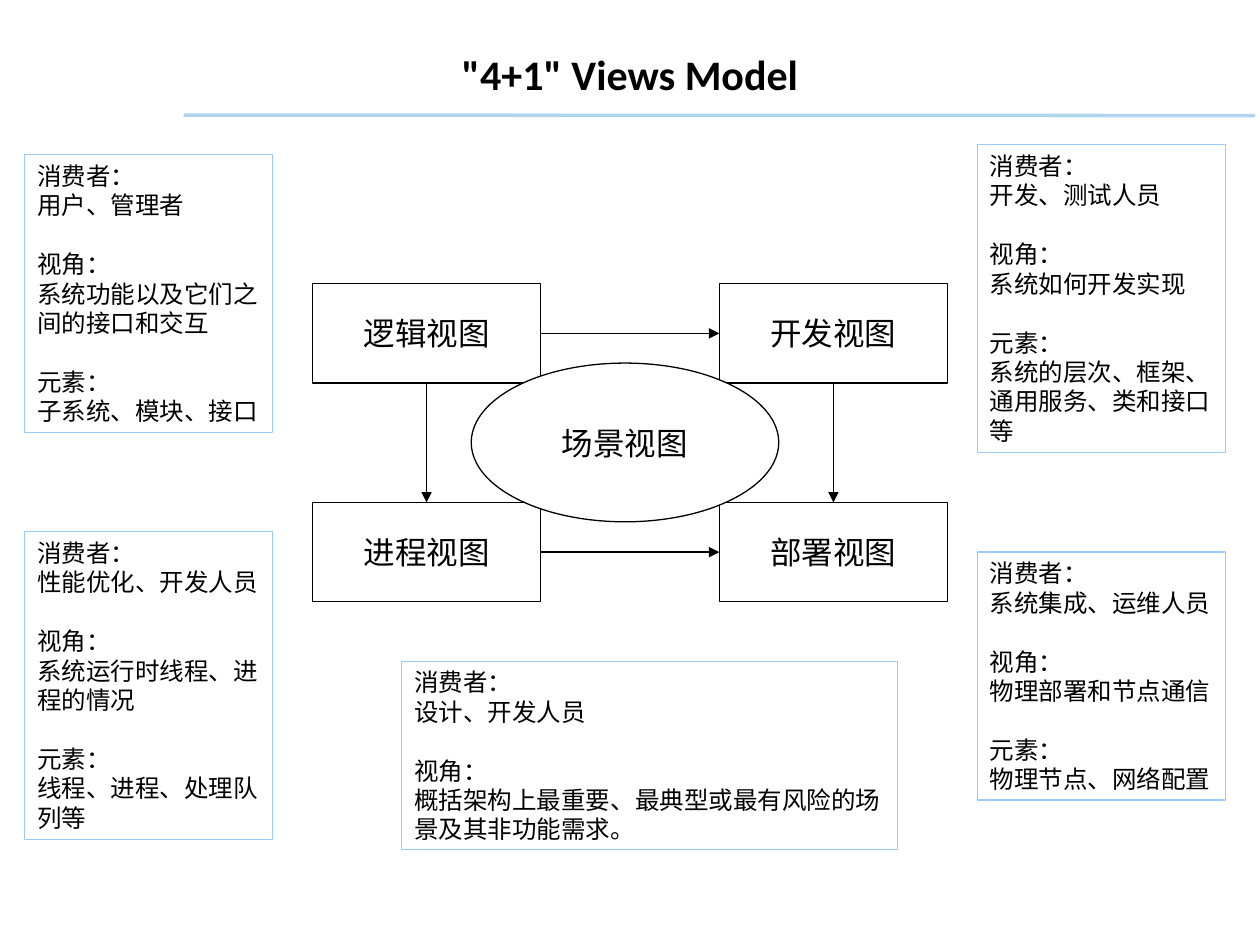
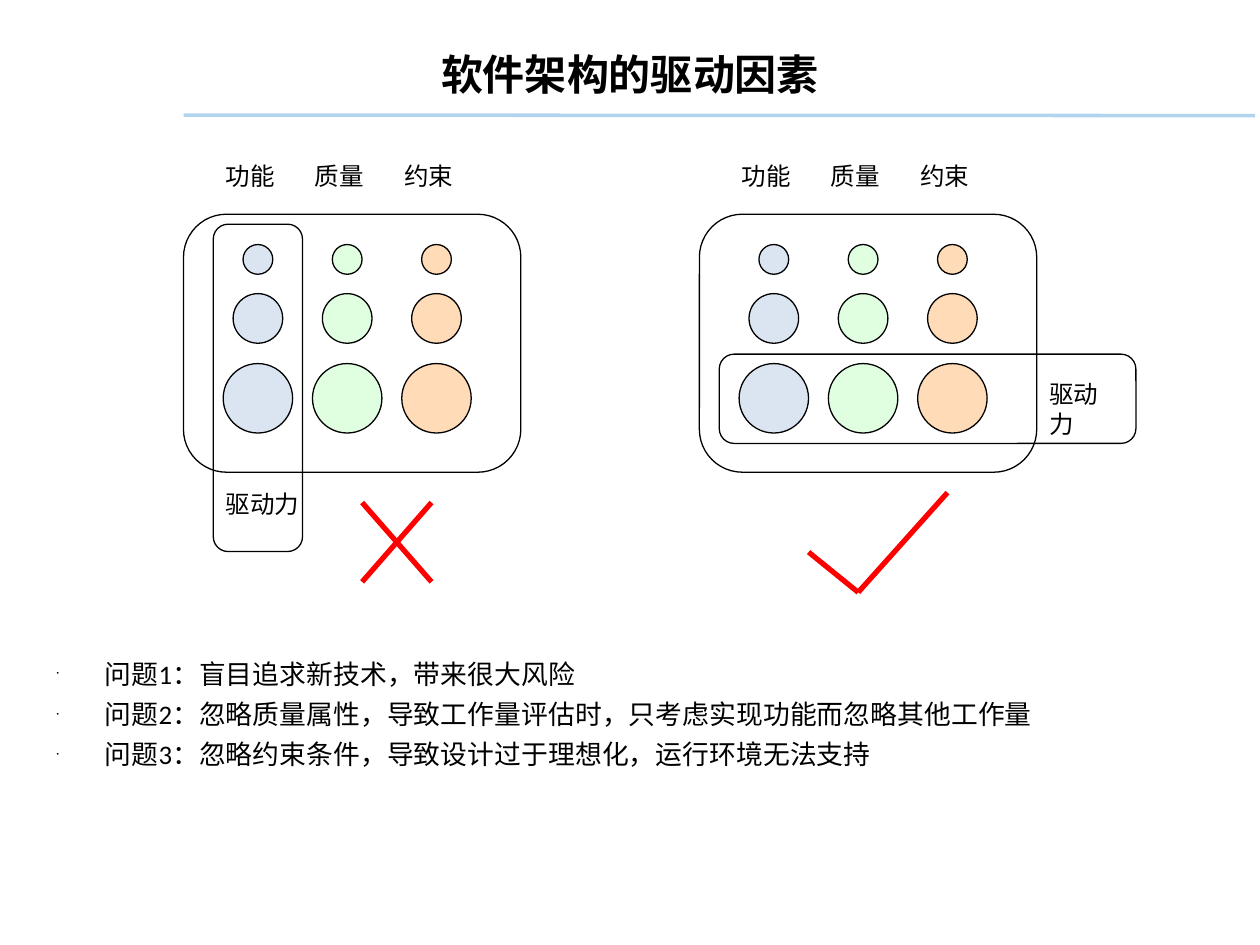
from lxml.etree import SubElement
from pptx import Presentation
from pptx.dml.color import RGBColor
from pptx.enum.lang import MSO_LANGUAGE_ID
from pptx.enum.shapes import MSO_CONNECTOR, MSO_SHAPE
from pptx.enum.text import MSO_ANCHOR, MSO_AUTO_SIZE, PP_ALIGN
from pptx.oxml.ns import qn
from pptx.util import Cm, Pt

BLACK = RGBColor(0x00, 0x00, 0x00)
WHITE = RGBColor(0xFF, 0xFF, 0xFF)
BAND = RGBColor(0xB1, 0xD5, 0xEF)
SKY = RGBColor(0x99, 0xCC, 0xFF)
RED = RGBColor(0xFF, 0x00, 0x00)
BLUE = RGBColor(0x4F, 0x81, 0xBD)
GREEN = RGBColor(0xCC, 0xFF, 0xCC)
PEACH = RGBColor(0xFF, 0xCC, 0x99)

TITLES = ['"4+1" Views Model', "软件架构的驱动因素"]
VIEWS = [["逻辑视图", "开发视图"], ["进程视图", "部署视图"]]
SCENE = "场景视图"
HEADS = ["消费者：", "视角：", "元素："]
NOTES = [
    ((0.5, 3.12, 5, 5.6), "Calibri",
     ["用户、管理者", "系统功能以及它们之间的接口和交互", "子系统、模块、接口"]),
    ((19.7, 2.92, 5, 6.2), "Calibri",
     ["开发、测试人员", "系统如何开发实现", "系统的层次、框架、通用服务、类和接口等"]),
    ((0.5, 10.72, 5, 6.2), "Arial",
     ["性能优化、开发人员", "系统运行时线程、进程的情况", "线程、进程、处理队列等"]),
    ((19.7, 11.13, 5, 5), "Calibri",
     ["系统集成、运维人员", "物理部署和节点通信", "物理节点、网络配置"]),
    ((8.1, 13.33, 10, 3.8), "Arial",
     ["设计、开发人员", "概括架构上最重要、最典型或最有风险的场景及其非功能需求。"]),
]
FACTORS = [("功能", BLUE, 20), ("质量", GREEN, 60), ("约束", PEACH, 70)]
DOTS = [(5.23, 0.6), (6.42, 1), (8.03, 1.4)]
FORCE = "驱动力"
FORCES = [
    ((4.3, 4.52, 1.8, 6.6), (4.3, 9.73, 2.2, 0.86)),
    ((14.5, 7.14, 8.4, 1.8), (20.9, 7.52, 1.98, 0.86)),
]
MARKS = [
    (16.3, 11.13, 17.3, 11.94), (17.3, 11.94, 19.1, 9.93),
    (7.3, 10.13, 8.7, 11.73), (8.7, 10.13, 7.3, 11.73),
]
ISSUES = [
    "问题1：盲目追求新技术，带来很大风险",
    "问题2：忽略质量属性，导致工作量评估时，只考虑实现功能而忽略其他工作量",
    "问题3：忽略约束条件，导致设计过于理想化，运行环境无法支持",
]


def apply(item, vals):
    for key, val in vals.items():
        setattr(item, key, val)


def place(shape, box):
    apply(shape, dict(zip(("left", "top", "width", "height"), map(Cm, box))))


def write(shape, lines, size, bold=False, align=PP_ALIGN.LEFT,
          anchor=MSO_ANCHOR.TOP, wrap=True):
    frame = shape.text_frame
    apply(frame, {"auto_size": MSO_AUTO_SIZE.NONE, "word_wrap": wrap,
                  "vertical_anchor": anchor})
    for num, (text, gap, face) in enumerate(lines):
        para = frame.add_paragraph() if num else frame.paragraphs[0]
        apply(para, {"alignment": align, "space_before": Pt(gap)})
        run = para.add_run()
        run.text = text
        apply(run.font, {"name": face, "size": Pt(size), "bold": bold,
                         "language_id": MSO_LANGUAGE_ID.SIMPLIFIED_CHINESE})
        run.font.color.rgb = BLACK
    return frame


def draw(slide, kind, box, fill=None, line=BLACK, alpha=None):
    shape = slide.shapes.add_shape(kind, *map(Cm, box))
    shape.shadow.inherit = False
    if fill is None:
        shape.fill.background()
    else:
        shape.fill.solid()
        shape.fill.fore_color.rgb = fill
    if alpha:
        color = shape.fill._xPr.find(".//" + qn("a:srgbClr"))
        SubElement(color, qn("a:alpha"), val=str(alpha * 1000))
    shape.line.color.rgb = line
    shape.line.width = Pt(0.75)
    return shape


def link(slide, ends, color=BLACK, width=0.75, arrow=False):
    line = slide.shapes.add_connector(MSO_CONNECTOR.STRAIGHT, *map(Cm, ends))
    line.line.color.rgb = color
    line.line.width = Pt(width)
    if arrow:
        SubElement(line.line._get_or_add_ln(), qn("a:tailEnd"), type="triangle")
    SubElement(line._element.spPr, qn("a:effectLst"))


def label(slide, box, text, wrap=False):
    write(slide.shapes.add_textbox(*map(Cm, box)), [(text, 0, "Calibri")], 14, wrap=wrap)


def start(deck, layout, title):
    slide = deck.slides.add_slide(deck.slide_layouts[layout])
    link(slide, (3.7, 2.32, 25.3, 2.33), BAND, 2)
    place(slide.shapes.title, (1.27, 0.64, 22.86, 1.68))
    write(slide.shapes.title, [(title, 0, "Calibri")], 24, True,
          PP_ALIGN.CENTER, MSO_ANCHOR.MIDDLE)
    return slide


def node(slide, kind, box, text):
    write(draw(slide, kind, box, WHITE), [(text, 0, "Calibri")], 18,
          align=PP_ALIGN.CENTER, anchor=MSO_ANCHOR.MIDDLE, wrap=False)


def views(deck):
    slide = start(deck, 5, TITLES[0])
    cols, rows, wide, high = (6.3, 14.5), (5.72, 10.13), 4.6, 2
    for top, names in zip(rows, VIEWS):
        for left, name in zip(cols, names):
            node(slide, MSO_SHAPE.RECTANGLE, (left, top, wide, high), name)
    node(slide, MSO_SHAPE.OVAL, (9.5, 7.32, 6.2, 3.2), SCENE)
    for top in rows:
        mid = top + high / 2
        link(slide, (cols[0] + wide, mid, cols[1], mid), arrow=True)
    for left in cols:
        mid = left + wide / 2
        link(slide, (mid, rows[0] + high, mid, rows[1]), arrow=True)
    for box, face, texts in NOTES:
        lines = []
        for num, (head, text) in enumerate(zip(HEADS, texts)):
            last = num == len(texts) - 1
            lines += [(head, 16.8 if num else 0, "Calibri"),
                      (text, 0, face if last else "Calibri")]
        write(draw(slide, MSO_SHAPE.RECTANGLE, box, line=SKY), lines, 14)


def drivers(deck):
    slide = start(deck, 1, TITLES[1])
    body = slide.placeholders[1]
    place(body, (0.89, 13.13, 23.8, 2.6))
    lines = [(text, 4.5 if num else 0, "Calibri") for num, text in enumerate(ISSUES)]
    for para in write(body, lines, 15.3).paragraphs:
        props = para._p.get_or_add_pPr()
        apply_indent = {"marL": Cm(0.97), "indent": -Cm(0.97)}
        for key, val in apply_indent.items():
            props.set(key, str(int(val)))
        tint = SubElement(props, qn("a:buClr"))
        SubElement(tint, qn("a:srgbClr"), val=str(BLACK))
        SubElement(props, qn("a:buSzPct"), val="25000")
        SubElement(props, qn("a:buFont"), typeface="Arial")
        SubElement(props, qn("a:buChar"), char="•")
    for shift, (frame, spot) in zip((0, 10.4), FORCES):
        for num, (name, color, alpha) in enumerate(FACTORS):
            mid = 5.2 + shift + 1.8 * num
            for level, size in DOTS:
                box = (mid - size / 2, level - size / 2, size, size)
                draw(slide, MSO_SHAPE.OVAL, box, color, alpha=alpha)
            label(slide, (mid - 0.9, 3.12, 1.5, 0.86), name)
        draw(slide, MSO_SHAPE.ROUNDED_RECTANGLE, (3.7 + shift, 4.32, 6.8, 5.2))
        draw(slide, MSO_SHAPE.ROUNDED_RECTANGLE, frame)
        label(slide, spot, FORCE, wrap=True)
    for ends in MARKS:
        link(slide, ends, RED, 3)


def main():
    deck = Presentation()
    apply(deck, {"slide_width": Cm(25.4), "slide_height": Cm(19.05)})
    views(deck)
    drivers(deck)
    deck.save("out.pptx")


if __name__ == "__main__":
    main()
